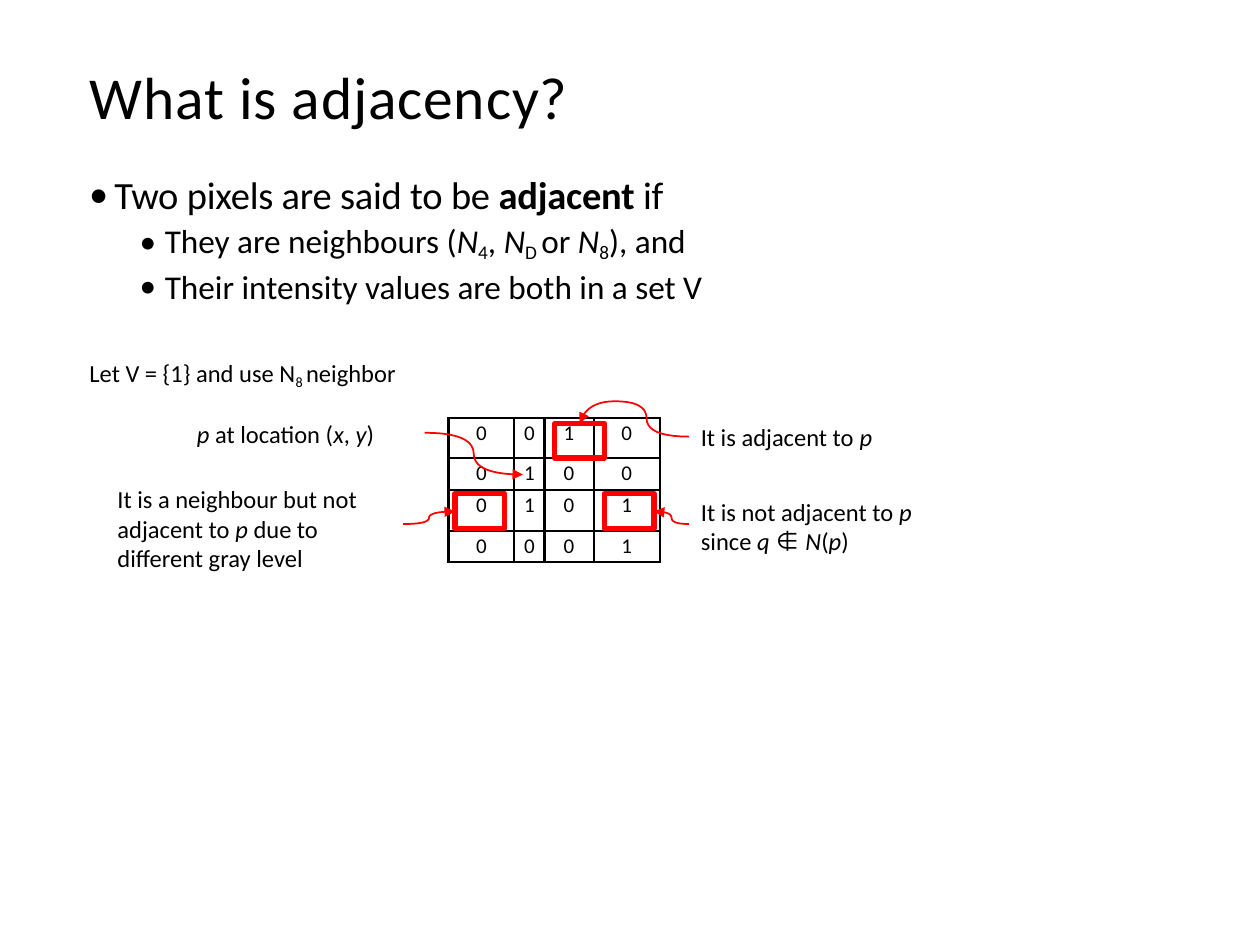
from lxml import etree
from pptx import Presentation
from pptx import util as u
from pptx.dml import color
from pptx.enum import shapes, text
from pptx.oxml import ns

BLACK, RED = "000000", "FF0000"
ITALIC = {"italic": True}
SUB = {"baseline": -19}

GRID = ["0010", "0100", "0101", "0001"]
GRID_LEFT, GRID_TOP = 256.3, 239
COLUMN_WIDTHS = [37.6, 17.2, 28.2, 37.8]
ROW_HEIGHTS = [22.8, 18.3, 23.4, 17.7]


def rgb(value):
    return color.RGBColor.from_string(value)


def add_xml(parent, tag, **attributes):
    return etree.SubElement(parent, ns.qn(tag), attributes)


def add_run(paragraph, content, *, size, font="Calibri", bold=False,
            italic=False, baseline=0, spacing=0):
    """Baseline is a percentage; spacing is in points."""
    run = paragraph.add_run()
    run.text = content
    run.font.size = u.Pt(size)
    run.font.name = font
    run.font.bold = bold
    run.font.italic = italic
    run.font.color.rgb = rgb(BLACK)
    properties = run.font._element
    if baseline:
        properties.set("baseline", str(baseline * 1000))
    if spacing:
        properties.set("spc", str(round(spacing * 100)))


def add_runs(paragraph, runs, **base):
    """A run is plain text, or a pair of text and its own format."""
    for run in runs:
        content, extra = (run, {}) if isinstance(run, str) else run
        add_run(paragraph, content, **{**base, **extra})


def set_indent(paragraph, margin, first_line=0, bullet=None):
    properties = paragraph._p.get_or_add_pPr()
    properties.set("marL", str(u.Pt(margin)))
    properties.set("indent", str(u.Pt(first_line)))
    if bullet:
        add_xml(properties, "a:buFont", typeface="Calibri")
        add_xml(properties, "a:buChar", char=bullet)
    else:
        add_xml(properties, "a:buNone")


def add_text_frame(slide, left, top, width, height, inset=0.9):
    box = slide.shapes.add_textbox(*map(u.Pt, (left, top, width, height)))
    frame = box.text_frame
    frame.word_wrap = True
    frame.margin_left = frame.margin_right = frame.margin_bottom = 0
    frame.margin_top = u.Pt(inset)
    return frame


def add_label(slide, box, *lines, size=14, **base):
    frame = add_text_frame(slide, *box)
    for index, runs in enumerate(lines):
        paragraph = frame.add_paragraph() if index else frame.paragraphs[0]
        set_indent(paragraph, 0.9)
        add_runs(paragraph, runs, size=size, **base)


def add_definition(slide):
    frame = add_text_frame(slide, 48.2, 95, 409, 125, inset=2.9)
    heading = frame.paragraphs[0]
    set_indent(heading, 17.2, -14.4, "•")
    add_runs(heading, ["Two pixels are said to be ", ("adjacent ", {"bold": True}), "if"],
             size=22, spacing=-0.1)

    conditions = [
        ["They are neighbours (", ("N", ITALIC), ("4", SUB), ", ", ("N", ITALIC),
         ("D ", SUB), "or ", ("N", ITALIC), ("8", SUB), "), and"],
        ["Their intensity values are both in a set V"],
    ]
    for runs in conditions:
        paragraph = frame.add_paragraph()
        paragraph.level = 1
        set_indent(paragraph, 46, -14.4, "•")
        paragraph.space_before = u.Pt(1.7)
        add_runs(paragraph, runs, size=19)

    example = frame.add_paragraph()
    set_indent(example, 2.9)
    example.space_before = u.Pt(29.5)
    add_runs(example, ["Let V = {1} and use N", ("8 ", {"baseline": -21}), "neighbor"],
             size=14)


def set_borders(cell, width):
    properties = cell._tc.get_or_add_tcPr()
    for index, side in enumerate("LRTB"):
        line = add_xml(properties, f"a:ln{side}", w=str(u.Pt(width)))
        fill = add_xml(line, "a:solidFill")
        add_xml(fill, "a:srgbClr", val=BLACK)
        properties.insert(index, line)


def add_pixel_grid(slide):
    frame = slide.shapes.add_table(
        len(ROW_HEIGHTS), len(COLUMN_WIDTHS), u.Pt(GRID_LEFT), u.Pt(GRID_TOP),
        u.Pt(sum(COLUMN_WIDTHS)), u.Pt(sum(ROW_HEIGHTS)))
    table = frame.table
    table.first_row = table.horz_banding = False
    for column, width in zip(table.columns, COLUMN_WIDTHS):
        column.width = u.Pt(width)
    for row, height, values in zip(table.rows, ROW_HEIGHTS, GRID):
        row.height = u.Pt(height)
        for cell, value in zip(row.cells, values):
            cell.margin_left = cell.margin_right = cell.margin_bottom = 0
            cell.margin_top = u.Pt(1.5)
            cell.fill.background()
            set_borders(cell, 1.5)
            paragraph = cell.text_frame.paragraphs[0]
            paragraph.alignment = text.PP_ALIGN.CENTER
            add_run(paragraph, value, size=12)


def style_outline(shape, width):
    shape.shadow.inherit = False
    shape.fill.background()
    shape.line.color.rgb = rgb(RED)
    shape.line.width = u.Pt(width)


def add_pixel_mark(slide, left, top):
    mark = slide.shapes.add_shape(shapes.MSO_SHAPE.RECTANGLE,
                                  *map(u.Pt, (left, top, 28.4, 19.8)))
    style_outline(mark, 3)


def quadratic(start, control, end, steps=10):
    for step in range(1, steps + 1):
        t = step / steps
        yield tuple(u.Pt((1 - t) ** 2 * a + 2 * t * (1 - t) * b + t * t * c)
                    for a, b, c in zip(start, control, end))


def add_curved_arrow(slide, *nodes):
    """Nodes alternate between points on the curve and control points."""
    points = []
    for index in range(0, len(nodes) - 2, 2):
        points += quadratic(*nodes[index:index + 3])
    builder = slide.shapes.build_freeform(*map(u.Pt, nodes[0]))
    builder.add_line_segments(points, close=False)
    arrow = builder.convert_to_shape()
    style_outline(arrow, 1)
    add_xml(arrow.line._get_or_add_ln(), "a:tailEnd", type="triangle", w="med", len="med")


def add_s_arrow(slide, start, end):
    middle_x = (start[0] + end[0]) / 2
    middle = (middle_x, (start[1] + end[1]) / 2)
    add_curved_arrow(slide, start, (middle_x, start[1]), middle, (middle_x, end[1]), end)


def main():
    presentation = Presentation()
    presentation.slide_width, presentation.slide_height = u.Pt(720), u.Pt(540)
    slide = presentation.slides.add_slide(presentation.slide_layouts[6])

    add_label(slide, (50.4, 33.1, 311, 42.5), ["What is adjacency?"], size=34, spacing=0.5)
    add_pixel_grid(slide)
    for left, top in [(317, 242), (260, 282.2), (345.4, 282.2)]:
        add_pixel_mark(slide, left, top)

    add_label(slide, (111.6, 238.3, 120, 18),
              [("p ", ITALIC), "at location (", ("x", ITALIC), ", ", ("y", ITALIC), ")"])
    add_label(slide, (66.2, 275.8, 145, 52),
              ["It is a neighbour but not adjacent to ", ("p ", ITALIC),
               "due to different gray level"])
    add_label(slide, (399.6, 240.5, 116, 18), ["It is adjacent to ", ("p", ITALIC)])
    add_label(slide, (399.6, 283, 143, 35),
              ["It is not adjacent to ", ("p", ITALIC)],
              ["since ", ("q ", ITALIC), ("∉ ", {"font": "Noto Sans CJK JP"}),
               ("N", ITALIC), "(", ("p", ITALIC), ")"])

    add_s_arrow(slide, (242.6, 247.3), (298.8, 271.2))
    add_s_arrow(slide, (230.4, 299.5), (260, 292.3))
    add_s_arrow(slide, (393.8, 299.5), (373.7, 292.3))
    add_curved_arrow(slide, (393.8, 249.5), (369.5, 249.5), (369.5, 239), (369.5, 229.3),
                     (351.4, 229.3), (335, 229.3), (331.2, 241.9))
    add_definition(slide)
    presentation.save("out.pptx")


if __name__ == "__main__":
    main()
